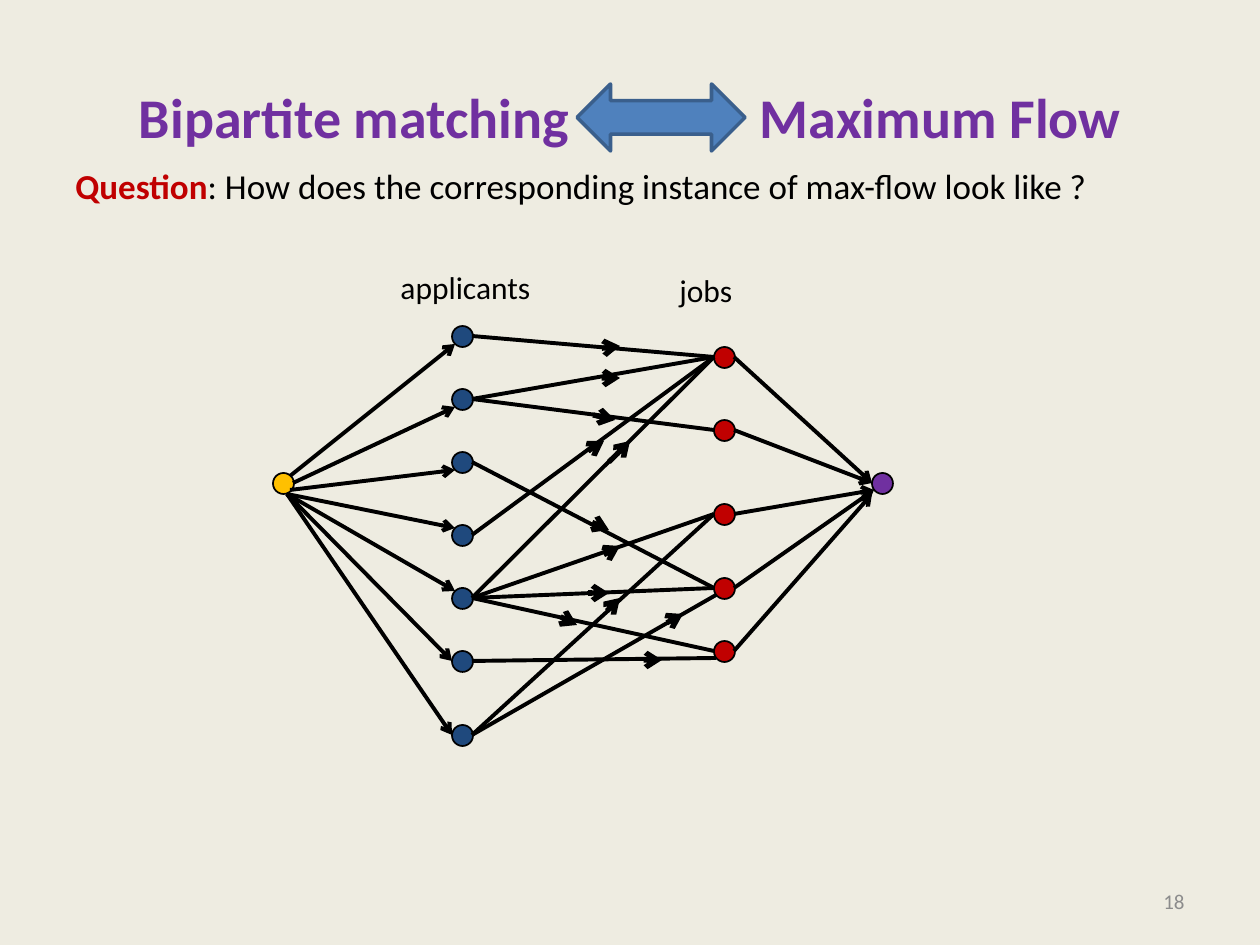
from dataclasses import dataclass
from lxml.etree import SubElement
from pptx import Presentation
from pptx.dml.color import RGBColor
from pptx.enum.shapes import MSO_CONNECTOR as Connector, MSO_SHAPE as Shape
from pptx.enum.text import MSO_ANCHOR as Anchor, PP_ALIGN as Align
from pptx.oxml.ns import qn
from pptx.util import Emu, Pt


@dataclass(frozen=True)
class Theme:
    font: str = "Calibri"
    background: str = "EEECE1"
    ink: str = "000000"
    title: str = "7030A0"
    question: str = "C00000"
    muted: str = "8C8C8C"
    source: str = "FFC000"
    applicant: str = "1F497D"
    job: str = "C00000"
    sink: str = "7030A0"
    arrow: str = "4F81BD"
    arrow_line: str = "3A5F8C"
    title_size: int = 32
    body_size: int = 20
    label_size: int = 18
    number_size: int = 12
    node_line: int = 1
    arrow_line_width: int = 2
    edge_line: float = 2.25
    mark_line: int = 3


THEME = Theme()
NODE = 21  # node diameter
RADIUS = 10

# Node centres, relative to the network box
SOURCE, SINK = (21, 231), (620, 231)
APPLICANTS = [(200, y) for y in (84, 147, 210, 283, 346, 409, 483)]
JOBS = [(462, y) for y in (105, 178, 262, 336, 399)]

# Applicant, job, shift of the job end, and the direction mark from start to end
MATCHES = [
    (2, 2, (0, 0), (331, 163), (353, 168)),
    (7, 3, (0, 0), (347, 357), (358, 346)),
    (5, 4, (0, 0), (326, 341), (347, 341)),
    (1, 1, (0, 0), (342, 96), (358, 94)),
    (4, 1, (0, 0), (326, 199), (342, 189)),
    (6, 5, (2, 7), (383, 408), (400, 408)),
    (7, 4, (2, 7), (410, 368), (421, 362)),
    (2, 1, (0, 0), (342, 126), (358, 126)),
    (5, 1, (0, 0), (347, 210), (368, 189)),
    (5, 3, (0, 0), (347, 300), (358, 294)),
    (3, 4, (0, 0), (336, 273), (347, 278)),
    (5, 5, (0, 0), (305, 368), (315, 373)),
]
# Where edges leave the source, reach each applicant and reach the sink
SOURCE_PORTS = [(7, -7), (10, 0), (7, 7)] + [(4, 11)] * 4
APPLICANT_PORTS = [(-7, 8)] * 3 + [(-7, -7)] * 2 + [(-10, 0)] * 2
SINK_PORTS = [(-10, 0)] * 2 + [(-8, 7)] * 2 + [(-10, 11)]


def px(length):
    return Emu(round(length * 914400 / 126))


def shift(point, offset):
    return point[0] + offset[0], point[1] + offset[1]


def apply_format(target, values):
    for name, value in values.items():
        setattr(target, name, value)


def add_text(slide, box, runs, size, paragraph_format=None, **frame_format):
    """Add one paragraph of (text, colour, bold) runs."""
    frame = slide.shapes.add_textbox(*map(px, box)).text_frame
    apply_format(frame, {"word_wrap": True, **frame_format})
    paragraph = frame.paragraphs[0]
    apply_format(paragraph, paragraph_format or {})
    for text, color, bold in runs:
        run = paragraph.add_run()
        run.text = text
        apply_format(run.font, {"name": THEME.font, "size": Pt(size), "bold": bold})
        run.font.color.rgb = RGBColor.from_string(color)
    return paragraph


def add_filled_shape(slide, kind, box, fill, line, width):
    shape = slide.shapes.add_shape(kind, *map(px, box))
    shape.shadow.inherit = False
    shape.fill.solid()
    shape.fill.fore_color.rgb = RGBColor.from_string(fill)
    shape.line.color.rgb = RGBColor.from_string(line)
    shape.line.width = Pt(width)


def add_line(slide, origin, start, end, width, arrow=False):
    ends = shift(origin, start) + shift(origin, end)
    connector = slide.shapes.add_connector(Connector.STRAIGHT, *map(px, ends))
    connector.line.color.rgb = RGBColor.from_string(THEME.ink)
    connector.line.width = Pt(width)
    if arrow:
        SubElement(connector.line._get_or_add_ln(), qn("a:tailEnd"), type="arrow")
    SubElement(connector._element.spPr, qn("a:effectLst"))


def add_title(slide, left, top, width, height):
    # A tab stop leaves room for the double arrow
    paragraph = add_text(
        slide, (left, top, width, height),
        [("Bipartite matching\tMaximum Flow", THEME.title, True)], THEME.title_size,
        {"alignment": Align.LEFT}, vertical_anchor=Anchor.MIDDLE, margin_left=px(76))
    tabs = SubElement(paragraph._p.get_or_add_pPr(), qn("a:tabLst"))
    SubElement(tabs, qn("a:tab"), pos=str(px(621)), algn="l")
    add_filled_shape(slide, Shape.LEFT_RIGHT_ARROW, (left + 514, top + 46, 168, 67),
                     THEME.arrow, THEME.arrow_line, THEME.arrow_line_width)


def add_question(slide, *box):
    add_text(slide, box, [
        ("Question", THEME.question, True),
        (": How does the corresponding instance of max-flow look like ?", THEME.ink, False),
    ], THEME.body_size)


def add_network(slide, left, top):
    origin = left, top

    # Nodes
    for centers, color in ((JOBS, THEME.job), (APPLICANTS, THEME.applicant),
                           ([SINK], THEME.sink), ([SOURCE], THEME.source)):
        for center in centers:
            x, y = shift(shift(origin, center), (-RADIUS, -RADIUS))
            add_filled_shape(slide, Shape.OVAL, (x, y, NODE, NODE),
                             color, THEME.ink, THEME.node_line)

    # Column labels
    for text, x, y, width in (("applicants", 126, 10, 156), ("jobs", 405, 13, 78)):
        add_text(slide, (left + x, top + y, width, 50), [(text, THEME.ink, False)],
                 THEME.label_size, word_wrap=False)

    # Applicant to job edges with direction marks
    for applicant, job, offset, mark_start, mark_end in MATCHES:
        start = shift(APPLICANTS[applicant - 1], (RADIUS, 0))
        end = shift(shift(JOBS[job - 1], (-RADIUS, 0)), offset)
        add_line(slide, origin, start, end, THEME.edge_line)
        add_line(slide, origin, mark_start, mark_end, THEME.mark_line, arrow=True)

    # Source to applicants
    for center, leave, reach in zip(APPLICANTS, SOURCE_PORTS, APPLICANT_PORTS):
        add_line(slide, origin, shift(SOURCE, leave), shift(center, reach),
                 THEME.edge_line, arrow=True)

    # Jobs to sink
    for center, reach in zip(JOBS, SINK_PORTS):
        add_line(slide, origin, shift(center, (RADIUS, 0)), shift(SINK, reach),
                 THEME.edge_line, arrow=True)


def add_slide_number(slide, *box):
    add_text(slide, box, [("18", THEME.muted, False)], THEME.number_size,
             {"alignment": Align.RIGHT}, vertical_anchor=Anchor.MIDDLE)


def main():
    presentation = Presentation()
    apply_format(presentation, {"slide_width": px(1260), "slide_height": px(945)})
    slide = presentation.slides.add_slide(presentation.slide_layouts[6])
    slide.background.fill.solid()
    slide.background.fill.fore_color.rgb = RGBColor.from_string(THEME.background)
    add_title(slide, 63, 38, 1134, 157)
    add_question(slide, 63, 158, 1134, 687)
    add_network(slide, 262, 252)
    add_slide_number(slide, 903, 876, 294, 50)
    presentation.save("out.pptx")


if __name__ == "__main__":
    main()
